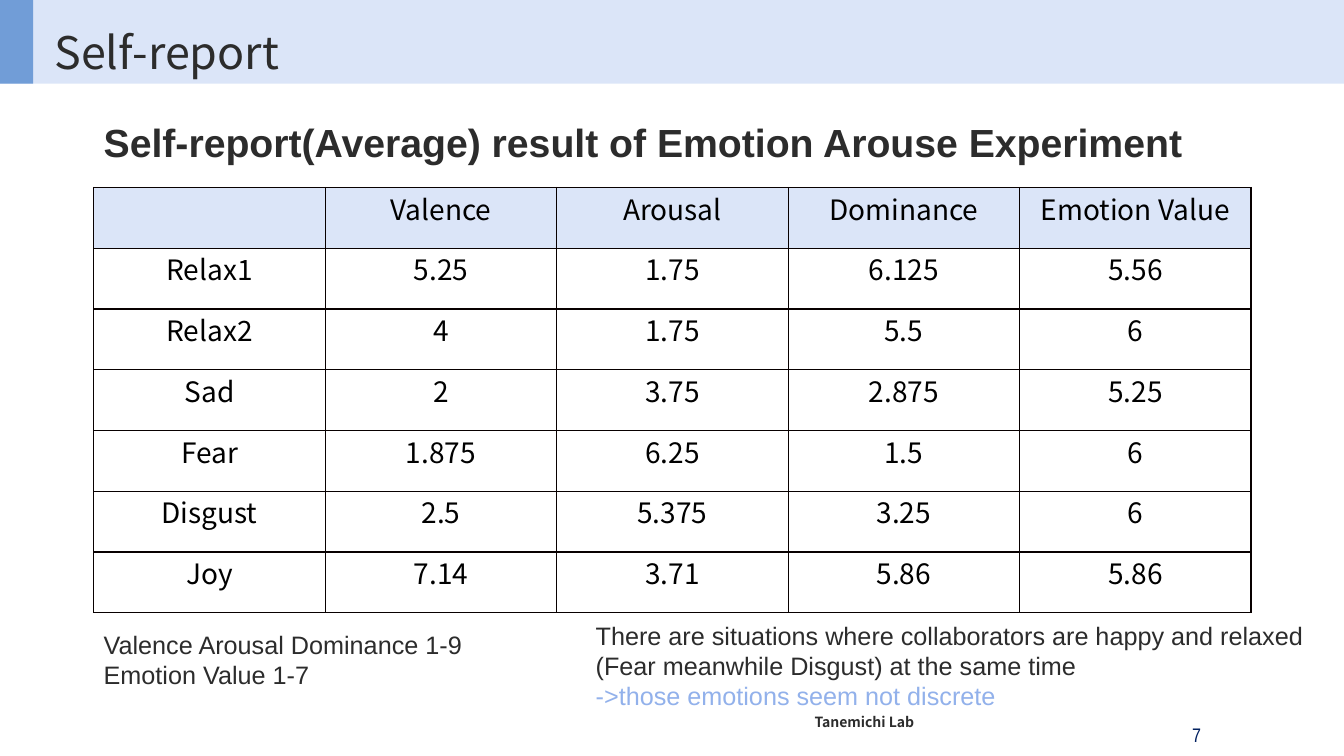
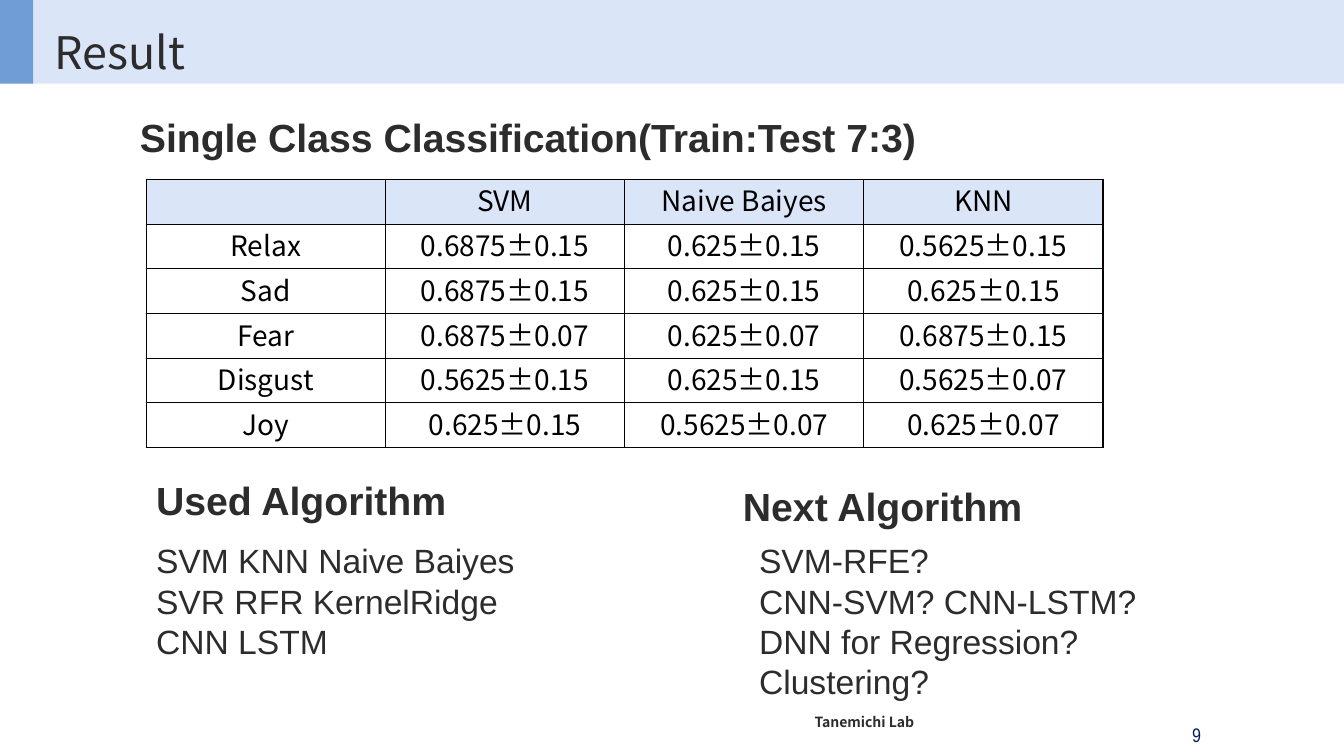
from lxml import etree
from pptx import Presentation
from pptx import util as u
from pptx.dml import color
from pptx.enum import shapes, text
from pptx.oxml import ns

HUES = {"band": "DBE5F8", "mark": "719DD7", "ink": "2C2C2C", "page": "002060",
        "note": "92B1EB", "cell": "000000", "edge": "080000"}
SANS, BODY = "Noto Sans CJK JP", "Arial"
LEFT, MID, RIGHT = text.PP_ALIGN.LEFT, text.PP_ALIGN.CENTER, text.PP_ALIGN.RIGHT


def write(frame, words, size, face=BODY, hue="ink", bold=False, align=LEFT):
    frame.text = words
    for para in frame.paragraphs:
        para.alignment = align
        for run in para.runs:
            run.font.name = face
            run.font.size = u.Pt(size)
            run.font.bold = bold
            run.font.color.rgb = color.RGBColor.from_string(HUES[hue])


def label(slide, box, words, size, wrap=True, **style):
    frame = slide.shapes.add_textbox(*map(u.Inches, box)).text_frame
    frame.word_wrap = wrap
    write(frame, words, size, **style)
    return frame


pages = [
    {"title": "Self-report", "num": "7",
     "grid": (0.93, 1.86, 11.48, 4.22),
     "rows": [["", "Valence", "Arousal", "Dominance", "Emotion Value"],
              ["Relax1", "5.25", "1.75", "6.125", "5.56"],
              ["Relax2", "4", "1.75", "5.5", "6"],
              ["Sad", "2", "3.75", "2.875", "5.25"],
              ["Fear", "1.875", "6.25", "1.5", "6"],
              ["Disgust", "2.5", "5.375", "3.25", "6"],
              ["Joy", "7.14", "3.71", "5.86", "5.86"]],
     "heads": [((0.93, 1.12, 11.35, 0.57),
                "Self-report(Average) result of Emotion Arouse Experiment")],
     "size": 18,
     "texts": [((0.93, 6.19, 3.78, 0.71),
                "Valence Arousal Dominance 1-9\nEmotion Value 1-7"),
               ((5.81, 6.1, 7.28, 1.01),
                "There are situations where collaborators are happy and relaxed\n"
                "(Fear meanwhile Disgust) at the same time\n"
                "->those emotions seem not discrete")]},
    {"title": "Result", "num": "9",
     "grid": (1.45, 1.78, 9.49, 2.66),
     "rows": [["", "SVM", "Naive Baiyes", "KNN"],
              ["Relax", "0.6875±0.15", "0.625±0.15", "0.5625±0.15"],
              ["Sad", "0.6875±0.15", "0.625±0.15", "0.625±0.15"],
              ["Fear", "0.6875±0.07", "0.625±0.07", "0.6875±0.15"],
              ["Disgust", "0.5625±0.15", "0.625±0.15", "0.5625±0.07"],
              ["Joy", "0.625±0.15", "0.5625±0.07", "0.625±0.07"]],
     "heads": [((1.29, 1.08, 8.97, 0.57), "Single Class Classification(Train:Test 7:3)"),
               ((7.27, 4.74, 2.99, 0.57), "Next Algorithm"),
               ((1.45, 4.68, 3.09, 0.57), "Used Algorithm")],
     "size": 24,
     "texts": [((7.43, 5.31, 4.18, 1.72),
                "SVM-RFE?\nCNN-SVM? CNN-LSTM?\nDNN for Regression?\nClustering?"),
               ((1.45, 5.31, 3.76, 1.31),
                "SVM KNN Naive Baiyes\nSVR RFR KernelRidge\nCNN LSTM")]},
]

deck = Presentation()
deck.slide_width, deck.slide_height = u.Inches(13.33), u.Inches(7.5)
layout = deck.slide_layouts[5]
slides = [deck.slides.add_slide(layout) for page in pages]

for hue, width in (("band", 13.33), ("mark", 0.33)):
    bar = slides[0].shapes.add_shape(shapes.MSO_SHAPE.RECTANGLE, 0, 0,
                                     u.Inches(width), u.Inches(0.83))
    bar.shadow.inherit = False
    bar.fill.solid()
    bar.fill.fore_color.rgb = color.RGBColor.from_string(HUES[hue])
    bar.line.fill.background()
    layout.shapes.element.append(bar.element)

for slide, page in zip(slides, pages):
    title = slide.shapes.title
    title.left, title.top = u.Inches(0.44), 0
    title.width, title.height = u.Inches(12.89), u.Inches(0.83)
    title.text_frame.vertical_anchor = text.MSO_ANCHOR.BOTTOM
    write(title.text_frame, page["title"], 32, SANS)

    label(slide, (7.98, 7.03, 4.89, 0.27), "Tanemichi Lab", 10,
          face="Noto Sans CJK SC", bold=True)
    label(slide, (11.11, 7.12, 0.9, 0.25), page["num"], 14,
          face="Arial Narrow", hue="page", align=RIGHT)

    rows = page["rows"]
    left, top, width, height = map(u.Inches, page["grid"])
    grid = slide.shapes.add_table(len(rows), len(rows[0]), left, top, width, height).table
    grid.first_row = grid.horz_banding = False
    for r, row in enumerate(rows):
        for c, words in enumerate(row):
            cell = grid.cell(r, c)
            cell.margin_left = cell.margin_right = 0
            cell.margin_top = cell.margin_bottom = 0
            write(cell.text_frame, words, 20, SANS, "cell", align=MID)
            props = cell._tc.get_or_add_tcPr()
            for side in ("lnL", "lnR", "lnT", "lnB"):
                line = etree.SubElement(props, ns.qn("a:" + side), w=str(u.Pt(1)))
                fill = etree.SubElement(line, ns.qn("a:solidFill"))
                etree.SubElement(fill, ns.qn("a:srgbClr"), val=HUES["edge"])
            if r == 0:
                cell.fill.solid()
                cell.fill.fore_color.rgb = color.RGBColor.from_string(HUES["band"])
            else:
                cell.fill.background()

    for box, words in page["heads"]:
        label(slide, box, words, 28, bold=True, wrap=False)
    for box, words in page["texts"]:
        frame = label(slide, box, words, page["size"], wrap=False)
        for para in frame.paragraphs:
            if para.text.startswith("->"):
                para.runs[0].font.color.rgb = color.RGBColor.from_string(HUES["note"])

deck.save("out.pptx")
